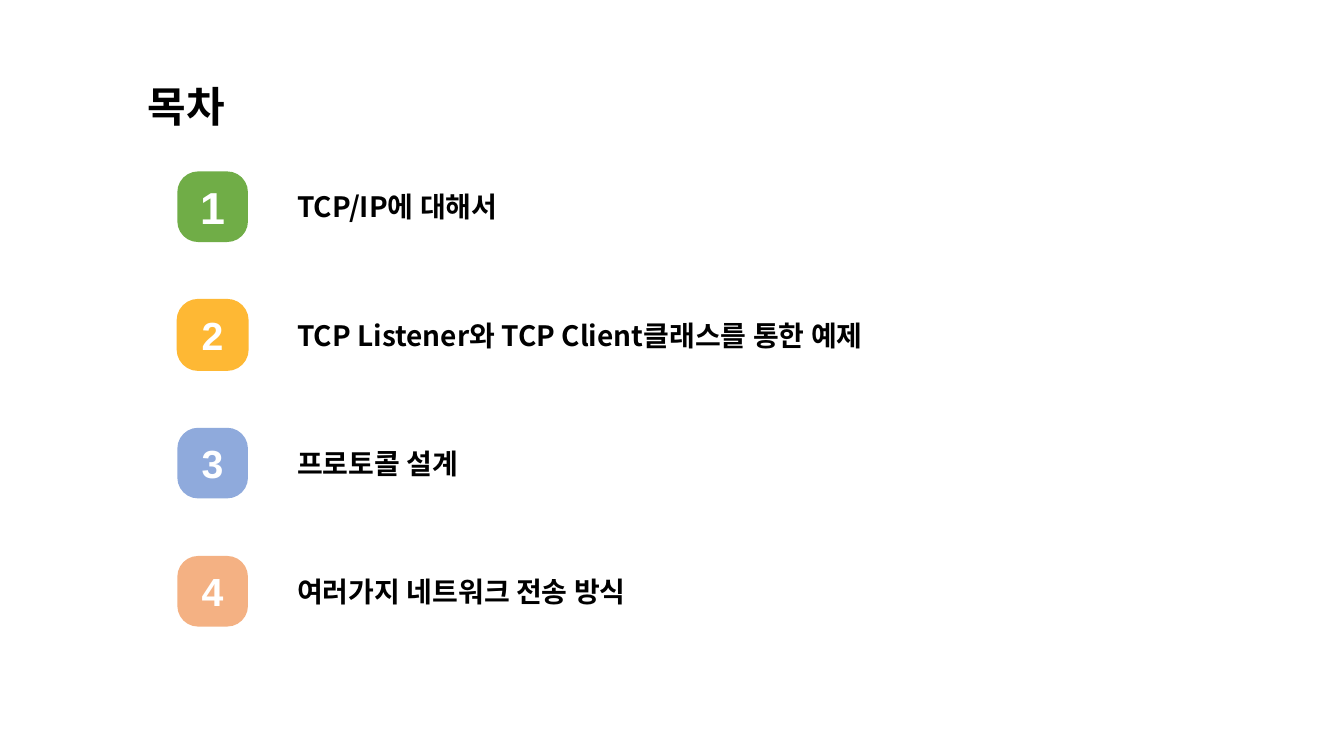
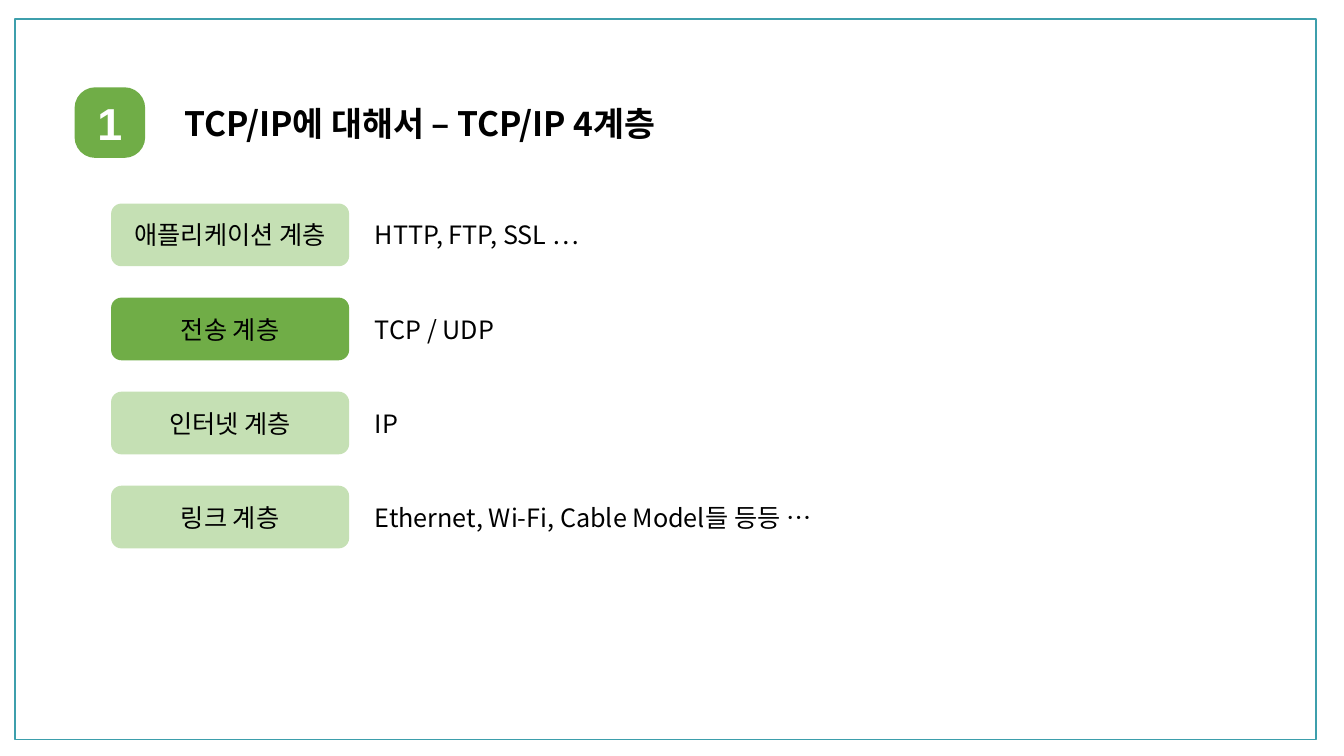
from lxml import etree
from pptx import Presentation
from pptx.dml.color import RGBColor
from pptx.enum import shapes, text
from pptx.oxml import ns
from pptx.util import Cm, Pt

COLORS = {
    "text": "000000", "white": "FFFFFF", "frame": "3D9FAC",
    "green": "70AD47", "pale_green": "C5E0B4",
    "yellow": "FEB834", "blue": "8FAADC", "orange": "F4B183",
}
BODY_FONT, NUMBER_FONT = "Noto Sans CJK KR", "Arial"
BADGE = 1.78  # side of a number badge, in cm


def rgb(name):
    return RGBColor.from_string(COLORS[name])


def write(sp, content, size, bold=False, color="text", font=BODY_FONT, align=None):
    tf = sp.text_frame
    tf.word_wrap = True
    tf.vertical_anchor = text.MSO_ANCHOR.MIDDLE
    tf.text = content
    p = tf.paragraphs[0]
    p.alignment = align
    f = p.runs[0].font
    f.size, f.bold, f.name = Pt(size), bold, font
    f.color.rgb = rgb(color)
    # East Asian characters take their font from a separate element
    latin = f._element.find(ns.qn("a:latin"))
    ea = etree.Element(ns.qn("a:ea"), typeface=font)
    latin.addnext(ea)


def add_text(s, box, content, size, bold=False):
    write(s.shapes.add_textbox(*map(Cm, box)), content, size, bold)


def add_box(s, box, fill=None, line=None, kind=shapes.MSO_SHAPE.ROUNDED_RECTANGLE):
    sp = s.shapes.add_shape(kind, *map(Cm, box))
    sp.shadow.inherit = False
    if fill:
        sp.fill.solid()
        sp.fill.fore_color.rgb = rgb(fill)
    else:
        sp.fill.background()
    if line:
        sp.line.color.rgb = rgb(line)
        sp.line.width = Pt(1)
    else:
        sp.line.fill.background()
    return sp


def numbered_heading(s, box, number, content, fill, size, number_size, indent, line=None):
    """Badge at the left of the box, heading centred on it vertically."""
    left, top, width, height = box
    badge = add_box(s, (left, top, BADGE, height), fill, line)
    badge.adjustments[0] = 0.294
    tf = badge.text_frame
    tf.margin_left = tf.margin_right = Cm(0)
    write(badge, str(number), number_size, True, "white", NUMBER_FONT,
          text.PP_ALIGN.CENTER)
    add_text(s, (left + indent, top, width - indent, height), content, size, True)


def contents_list(s, box, items):
    left, top, width, height = box
    pitch = (height - BADGE) / (len(items) - 1)
    for i, (content, fill, number_size, line) in enumerate(items):
        numbered_heading(s, (left, top + i * pitch, width, BADGE), i + 1, content,
                         fill, 20, number_size, 2.77, line)


def layer_list(s, box, layers):
    left, top, width, height = box
    row, label_width, gap = 1.58, 6, 0.4
    pitch = (height - row) / (len(layers) - 1)
    for i, (name, protocols, fill) in enumerate(layers):
        y = top + i * pitch
        label = add_box(s, (left, y, label_width, row), fill)
        write(label, name, 18, align=text.PP_ALIGN.CENTER)
        x = label_width + gap
        add_text(s, (left + x, y, width - x, row), protocols, 18)


def contents_slide(prs):
    s = prs.slides.add_slide(prs.slide_layouts[6])
    add_text(s, (3.48, 1.9, 15.4, 1.55), "목차", 30, True)
    contents_list(s, (4.47, 4.32, 22.7, 11.47), [
        ("TCP/IP에 대해서", "green", 32, None),
        ("TCP Listener와 TCP Client클래스를 통한 예제", "yellow", 28, "yellow"),
        ("프로토콜 설계", "blue", 28, None),
        ("여러가지 네트워크 전송 방식", "orange", 28, None),
    ])


def layers_slide(prs):
    s = prs.slides.add_slide(prs.slide_layouts[6])
    add_box(s, (0.38, 0.48, 32.79, 18.16), line="frame",
            kind=shapes.MSO_SHAPE.RECTANGLE)
    numbered_heading(s, (1.88, 2.2, 17.9, BADGE), 1, "TCP/IP에 대해서 – TCP/IP 4계층",
                     "green", 24, 32, 2.51)
    layer_list(s, (2.8, 5.13, 27.07, 8.69), [
        ("애플리케이션 계층", "HTTP, FTP, SSL …", "pale_green"),
        ("전송 계층", "TCP / UDP", "green"),
        ("인터넷 계층", "IP", "pale_green"),
        ("링크 계층", "Ethernet, Wi-Fi, Cable Model들 등등 …", "pale_green"),
    ])


prs = Presentation()
prs.slide_width, prs.slide_height = Cm(33.87), Cm(19.05)
contents_slide(prs)
layers_slide(prs)
prs.save("out.pptx")
